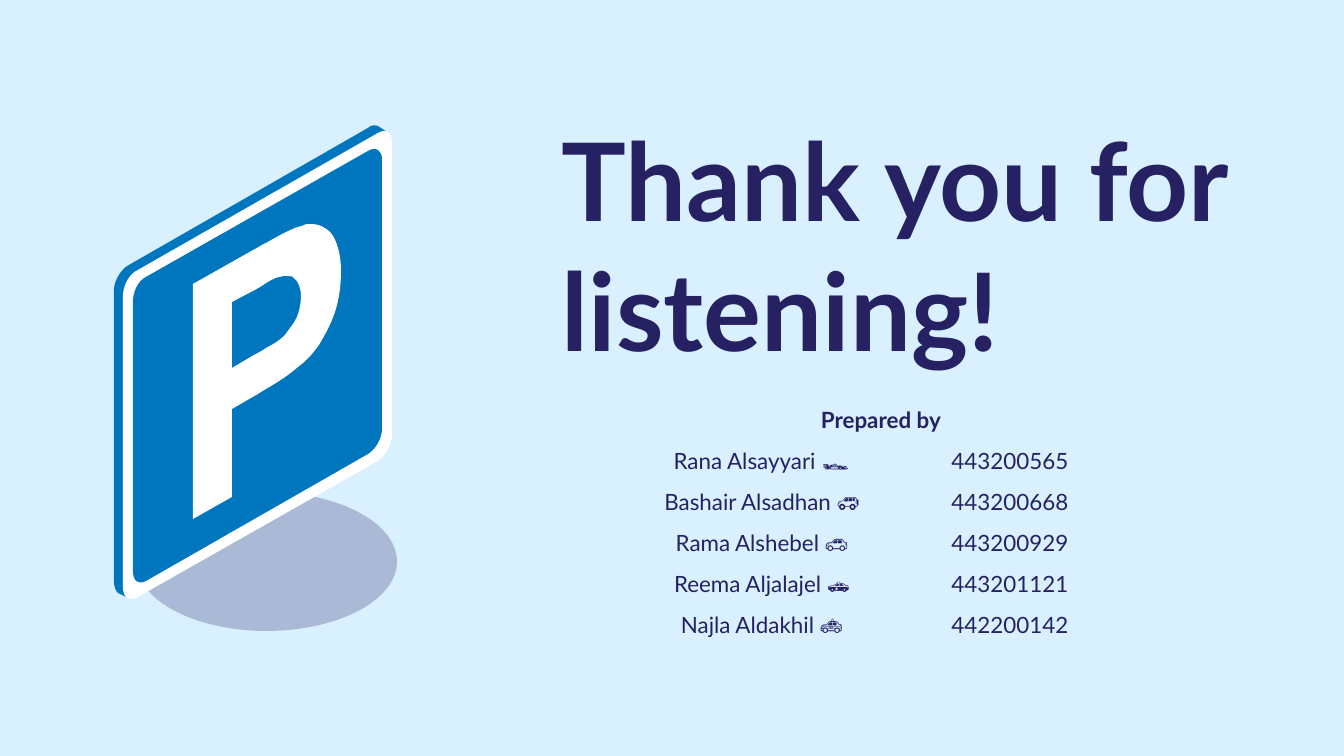
from pptx import Presentation
from pptx.dml.color import RGBColor
from pptx.enum.shapes import MSO_SHAPE as Shape
from pptx.enum.text import MSO_ANCHOR as Anchor, PP_ALIGN as Align
from pptx.oxml.ns import qn
from pptx.util import Pt
from lxml import etree

# Content
TITLE = "Thank you for listening!"
HEADING = "Prepared by"
STUDENTS = [
    ("Rana Alsayyari 🏎️", "443200565"),
    ("Bashair Alsadhan 🚙", "443200668"),
    ("Rama Alshebel 🚗", "443200929"),
    ("Reema Aljalajel 🚓", "443201121"),
    ("Najla Aldakhil 🚕", "442200142"),
]
COLORS = {"sky": "D9F0FF", "navy": "262162", "blue": "0076BE", "white": "FFFFFF"}
FONT = "Lato"

# Sign outlines in px: a pair is a corner, six numbers are a Bézier curve
EDGE = [(129, 265), (368, 128), (371, 125, 375, 125, 378, 126), (387, 132),
        (383, 142), (383, 429), (383, 438, 376, 450, 368, 456), (133, 590),
        (128, 598), (118, 593), (116, 591, 114, 587, 114, 582), (114, 290),
        (114, 281, 121, 269, 129, 265)]
RIM = [(138, 270), (378, 133), (386, 128, 392, 133, 392, 142), (392, 434),
       (392, 444, 386, 456, 378, 461), (138, 597),
       (129, 602, 123, 598, 123, 587), (123, 296),
       (123, 286, 129, 274, 138, 270)]
PANEL = [(146, 277), (368, 151), (376, 146, 382, 151, 382, 159), (382, 429),
         (382, 438, 376, 449, 368, 454), (146, 581),
         (138, 585, 133, 581, 133, 571), (133, 301),
         (133, 292, 138, 281, 146, 277)]
LETTER = [(310, 224), (308, 224, 305, 224, 302, 226),
          (296, 227, 285, 232, 266, 243), (263, 244, 259, 247, 255, 249),
          (193, 284), (193, 519), (232, 497), (232, 409), (258, 394),
          (261, 392, 263, 391, 266, 389), (280, 381, 290, 374, 298, 367),
          (305, 362, 312, 355, 319, 345), (325, 335, 331, 324, 335, 312),
          (339, 300, 341, 286, 341, 271), (341, 254, 337, 241, 331, 233),
          (325, 227, 319, 224, 310, 224)]
LETTER_HOLE = [(286, 276), (289, 276, 293, 276, 294, 278),
               (298, 281, 301, 288, 301, 296), (301, 302, 300, 309, 297, 317),
               (294, 324, 289, 329, 285, 335), (281, 339, 276, 343, 266, 348),
               (262, 351, 258, 353, 254, 355), (232, 368), (232, 302),
               (251, 292), (257, 289, 262, 286, 266, 283),
               (273, 279, 277, 277, 280, 277), (282, 276, 284, 276, 286, 276)]
SIGN = [("blue", [EDGE]), ("white", [RIM]), ("blue", [PANEL]),
        ("white", [LETTER_HOLE, LETTER])]

# Layout in px
SLIDE = (1344, 756)
TITLE_BOX = (549, 19, 709, 449)
SHADOW_BOX = (136, 492, 261, 139)
TABLE_AT = (633, 406)
TABLE_HEIGHT = 247
COLUMNS = (258, 238)
NO_GRID_STYLE = "{2D5ABB26-0587-4C30-8999-92F81FD0307C}"


def px(length):
    return round(length * 914400 / 134.4)


def rgb(name):
    return RGBColor.from_string(COLORS[name])


def paint(shape, color):
    shape.shadow.inherit = False
    shape.fill.solid()
    shape.fill.fore_color.rgb = rgb(color)
    shape.line.fill.background()


def write(paragraph, words, size, bold=False):
    run = paragraph.add_run()
    run.text = words
    for key, value in {"name": FONT, "size": Pt(size), "bold": bold}.items():
        setattr(run.font, key, value)
    run.font.color.rgb = rgb("navy")


def nodes(outline):
    return [(px(step[i]), px(step[i + 1]))
            for step in outline for i in range(0, len(step), 2)]


def curve(shape, outlines):
    """Join the three segments of each Bézier step into one curve."""
    segments = iter(list(shape._element.iter(qn("a:lnTo"))))
    for outline in outlines:
        for step in outline[1:]:
            parts = [next(segments) for _ in range(len(step) // 2)]
            if len(parts) == 3:
                bezier = etree.Element(qn("a:cubicBezTo"))
                parts[0].addprevious(bezier)
                for part in parts:
                    bezier.append(part[0])
                    part.getparent().remove(part)


prs = Presentation()
prs.slide_width, prs.slide_height = map(px, SLIDE)
slide = prs.slides.add_slide(prs.slide_layouts[6])
slide.background.fill.solid()
slide.background.fill.fore_color.rgb = rgb("sky")

# Title
title = slide.shapes.add_textbox(*map(px, TITLE_BOX)).text_frame
title_format = {"word_wrap": True, "vertical_anchor": Anchor.MIDDLE,
                **{f"margin_{side}": px(13) for side in ("left", "right", "top", "bottom")}}
for key, value in title_format.items():
    setattr(title, key, value)
write(title.paragraphs[0], TITLE, 58, bold=True)

# Ground shadow
shadow = slide.shapes.add_shape(Shape.OVAL, *map(px, SHADOW_BOX))
paint(shadow, "navy")
shadow_color = shadow.fill._xPr.find(qn("a:solidFill"))[0]
etree.SubElement(shadow_color, qn("a:alpha"), val="26000")

# Parking sign
for color, outlines in SIGN:
    first, *others = map(nodes, outlines)
    builder = slide.shapes.build_freeform(*first[0])
    builder.add_line_segments(first[1:], close=True)
    for points in others:
        builder.move_to(*points[0])
        builder.add_line_segments(points[1:], close=True)
    part = builder.convert_to_shape()
    curve(part, outlines)
    paint(part, color)

# Student table
rows = [(HEADING, "")] + STUDENTS
frame = slide.shapes.add_table(len(rows), len(COLUMNS), *map(px, TABLE_AT),
                               px(sum(COLUMNS)), px(TABLE_HEIGHT))
table = frame.table
table.first_row = table.horz_banding = False
table._tbl.tblPr.find(qn("a:tableStyleId")).text = NO_GRID_STYLE
for column, width in zip(table.columns, COLUMNS):
    column.width = px(width)
table.cell(0, 0).merge(table.cell(0, 1))
cell_format = {"margin_left": px(9), "margin_right": px(9), "margin_top": 0,
               "margin_bottom": 0, "vertical_anchor": Anchor.TOP}
for r, row in enumerate(rows):
    table.rows[r].height = px(TABLE_HEIGHT / len(rows))
    for c, words in enumerate(row):
        cell = table.cell(r, c)
        cell.fill.background()
        for key, value in cell_format.items():
            setattr(cell, key, value)
        if words:
            paragraph = cell.text_frame.paragraphs[0]
            paragraph.alignment = Align.CENTER
            write(paragraph, words, 12, bold=r == 0)

prs.save("out.pptx")
